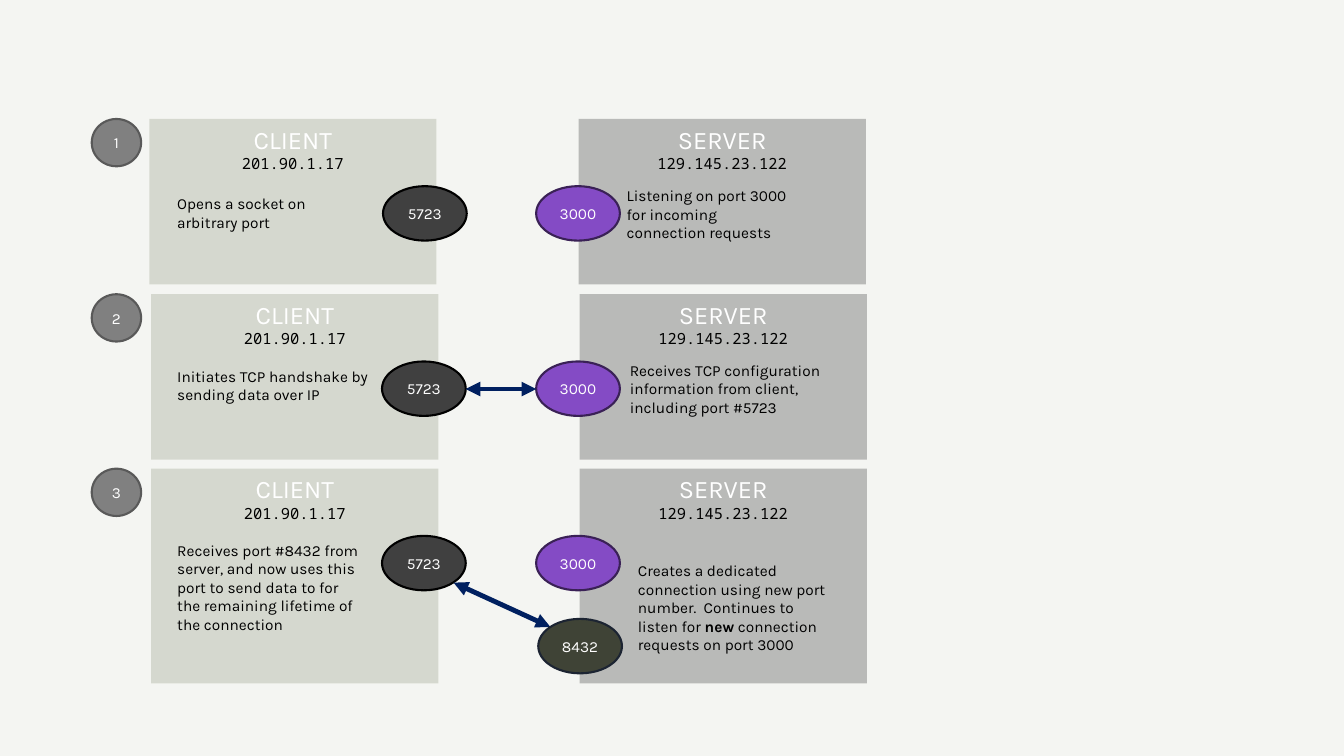
import pptx
import pptx.dml.color
import pptx.enum.shapes
import pptx.enum.text
import pptx.oxml
import pptx.oxml.ns
import pptx.util
from pptx.util import Pt

RGB = pptx.dml.color.RGBColor
SHAPE = pptx.enum.shapes.MSO_SHAPE
ANCHOR = pptx.enum.text.MSO_ANCHOR
ALIGN = pptx.enum.text.PP_ALIGN

WHITE = RGB(0xFF, 0xFF, 0xFF)
BLACK = RGB(0x00, 0x00, 0x00)
SAGE = RGB(0xB8, 0xBD, 0xAD)
GRAY = RGB(0x80, 0x80, 0x80)
SLATE = RGB(0x59, 0x59, 0x59)
COAL = RGB(0x40, 0x40, 0x40)
VIOLET = RGB(0x84, 0x4B, 0xC5)
PLUM = RGB(0x3A, 0x21, 0x56)
OLIVE = RGB(0x3F, 0x43, 0x36)
INK = RGB(0x1C, 0x24, 0x32)
NAVY = RGB(0x00, 0x20, 0x60)

WIDE, HIGH = 960, 540
PANEL_W = 205.2
PORT_W, PORT_H = 59.8, 38.9
BADGE_W, BADGE_H = 35.3, 33.8
BADGE_X, NOTE_X, SERVER_X = 65.5, 119.5, 383

STEPS = [
    dict(top=85, high=118.1, client=106.6, server=413.3, port=273.6,
         left=("Opens a socket on arbitrary port", 135.4, 134.6, 33.8),
         right=("Listening on port 3000 for incoming connection requests",
                440.6, 129.6, 134.6, 47.5)),
    dict(top=210.2, high=118.1, client=108, server=414, port=272.9,
         left=("Initiates TCP handshake by sending data over IP",
               258.5, 151.2, 33.8),
         right=("Receives TCP configuration information from client, "
                "including port #5723", 442.8, 254.2, 151.2, 47.5)),
    dict(top=334.8, high=153.4, client=108, server=414, port=272.9,
         left=("Receives port #8432 from server, and now uses this port to "
               "send data to for the remaining lifetime of the connection",
               383, 147.6, 74.2),
         right=("Creates a dedicated connection using new port number.  "
                "Continues to listen for **new** connection requests on "
                "port 3000", 448.6, 397.4, 151.2, 74.2)),
]


def write(shape, text, size=11, font="Karla", color=BLACK, align=ALIGN.LEFT):
    frame = shape.text_frame
    para = frame.add_paragraph() if frame.text else frame.paragraphs[0]
    para.alignment = align
    for i, part in enumerate(text.split("**")):
        run = para.add_run()
        run.text = part
        run.font.size = Pt(size)
        run.font.name = font
        run.font.color.rgb = color
        run.font.bold = i % 2 == 1


def draw(slide, kind, x, y, w, h, fill, line=None, alpha=None):
    shape = slide.shapes.add_shape(kind, Pt(x), Pt(y), Pt(w), Pt(h))
    shape.shadow.inherit = False
    shape.fill.solid()
    shape.fill.fore_color.rgb = fill
    if alpha:
        color = shape.fill._xPr.find(".//" + pptx.oxml.ns.qn("a:srgbClr"))
        tag = pptx.oxml.ns.qn("a:alpha")
        color.makeelement(tag)
        pptx.oxml.parse_xml(f'<a:alpha {pptx.oxml.ns.nsdecls("a")}/>')
        node = color.makeelement(tag, {"val": str(alpha * 1000)})
        color.append(node)
    if line is None:
        shape.line.fill.background()
    else:
        shape.line.color.rgb = line
        shape.line.width = Pt(1.5)
    return shape


def panel(slide, x, y, h, fill, title, host):
    shape = draw(slide, SHAPE.RECTANGLE, x, y, PANEL_W, h, fill, alpha=50)
    shape.text_frame.vertical_anchor = ANCHOR.TOP
    write(shape, title, size=18, color=WHITE, align=ALIGN.CENTER)
    write(shape, host, font="Noto Sans Mono", align=ALIGN.CENTER)


def oval(slide, text, x, y, w, h, fill, line):
    shape = draw(slide, SHAPE.OVAL, x, y, w, h, fill, line)
    shape.text_frame.vertical_anchor = ANCHOR.MIDDLE
    write(shape, text, color=WHITE, align=ALIGN.CENTER)


def port(slide, text, x, y, fill, line):
    oval(slide, text, x, y, PORT_W, PORT_H, fill, line)


def note(slide, text, x, y, w, h):
    box = slide.shapes.add_textbox(Pt(x), Pt(y), Pt(w), Pt(h))
    box.text_frame.word_wrap = True
    box.text_frame.auto_size = pptx.enum.text.MSO_AUTO_SIZE.SHAPE_TO_FIT_TEXT
    write(box, text)


def arrow(slide, x1, y1, x2, y2):
    kind = pptx.enum.shapes.MSO_CONNECTOR.STRAIGHT
    link = slide.shapes.add_connector(kind, Pt(x1), Pt(y1), Pt(x2), Pt(y2))
    link.line.color.rgb = NAVY
    link.line.width = Pt(3.5)
    names = pptx.oxml.ns.nsdecls("a")
    for end in ("headEnd", "tailEnd"):
        xml = f'<a:{end} {names} type="triangle"/>'
        link.line._get_or_add_ln().append(pptx.oxml.parse_xml(xml))
    xml = f"<a:effectLst {names}/>"
    link._element.spPr.append(pptx.oxml.parse_xml(xml))


def step(slide, count, top, high, client, server, port_x, left, right):
    panel(slide, client, top, high, SAGE, "CLIENT", "201.90.1.17")
    panel(slide, server, top, high, GRAY, "SERVER", "129.145.23.122")
    port(slide, "3000", SERVER_X, top + 48, VIOLET, PLUM)
    port(slide, "5723", port_x, top + 48, COAL, BLACK)
    text, *place = left
    note(slide, text, NOTE_X, *place)
    note(slide, *right)
    oval(slide, str(count), BADGE_X, top, BADGE_W, BADGE_H, GRAY, SLATE)


def main():
    deck = pptx.Presentation()
    deck.slide_width, deck.slide_height = Pt(WIDE), Pt(HIGH)
    slide = deck.slides.add_slide(deck.slide_layouts[6])
    draw(slide, SHAPE.RECTANGLE, 0, 0, WIDE, HIGH, SAGE, alpha=15)
    for count, row in enumerate(STEPS, 1):
        step(slide, count, row["top"], row["high"], row["client"],
             row["server"], row["port"], row["left"], row["right"])
    arrow(slide, 332.6, 277.9, 383, 277.9)
    arrow(slide, 324, 416.2, 393.1, 447.8)
    port(slide, "8432", 384.5, 442.1, OLIVE, INK)
    deck.save("out.pptx")


if __name__ == "__main__":
    main()
